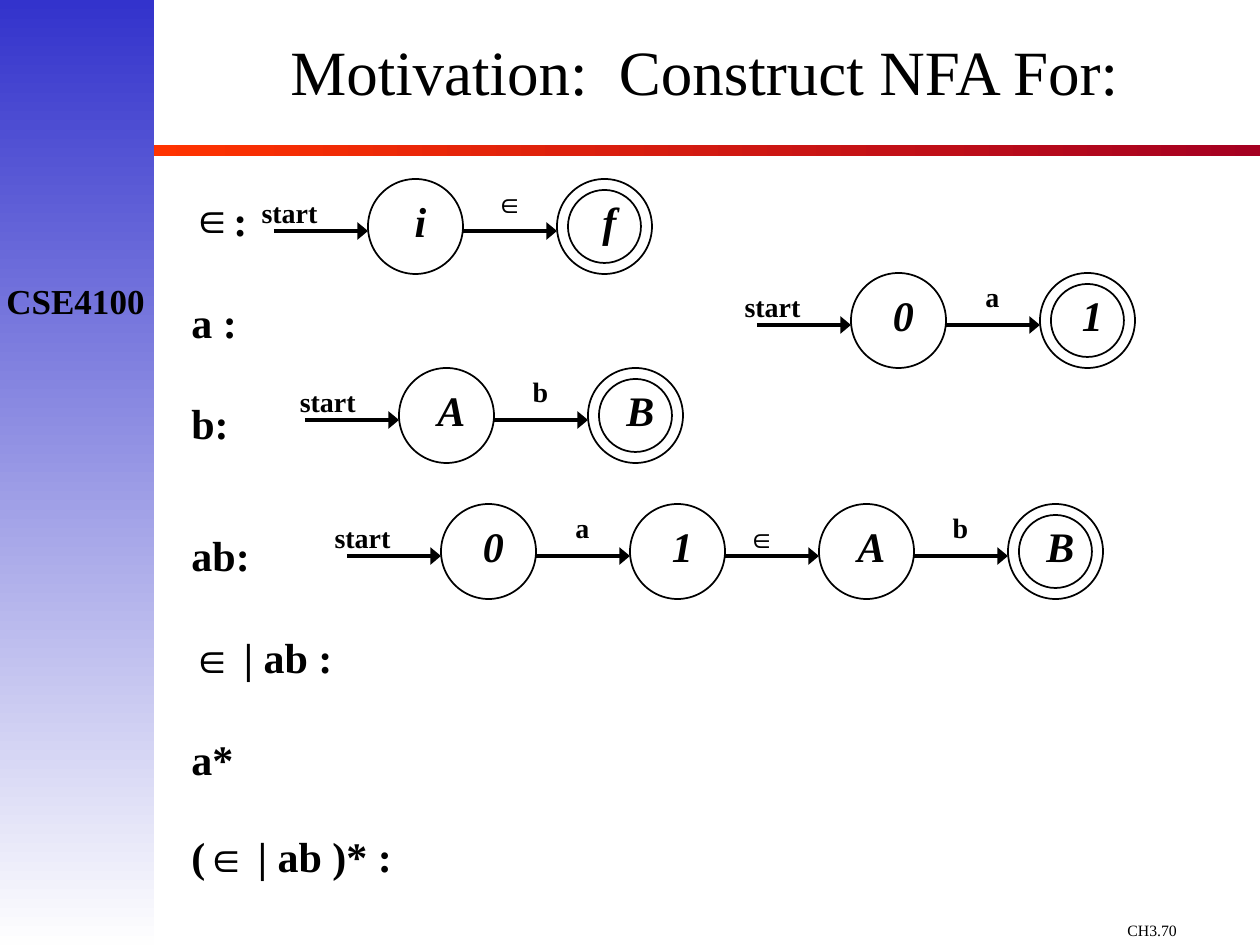
from lxml import etree
from pptx import Presentation
from pptx.dml.color import RGBColor
from pptx.enum.shapes import MSO_CONNECTOR, MSO_SHAPE
from pptx.enum.text import MSO_ANCHOR, PP_ALIGN
from pptx.oxml.ns import qn
from pptx.util import Emu, Pt

PX = 7257  # EMU in one px, 126 px to the inch
LEFT, CENTER, RIGHT = PP_ALIGN.LEFT, PP_ALIGN.CENTER, PP_ALIGN.RIGHT
OVAL, RECT = MSO_SHAPE.OVAL, MSO_SHAPE.RECTANGLE
BLACK = RGBColor(0x00, 0x00, 0x00)
BLUE = RGBColor(0x33, 0x33, 0xCC)
OFF_WHITE = RGBColor(0xFE, 0xFE, 0xFE)
ORANGE = RGBColor(0xFF, 0x33, 0x00)
CRIMSON = RGBColor(0xA5, 0x00, 0x21)
SERIF, SANS = "Times New Roman", "Arial"
EPSILON = "∈"

TITLE = "Motivation:  Construct NFA For:"
COURSE = "CSE4100"
PAGE = "CH3.70"

# (text, line spacing); the first one follows an epsilon bullet
EXPRESSIONS = [
    (":", 1.0),
    ("a :", 1.5),
    ("b:", 1.5),
    ("ab:", 2.1),
    ("∈ | ab :", 1.5),
    ("a*", 1.5),
    ("(∈ | ab )* :", 1.4),
]

# left and top of the first state, states, symbols between them, start alignment
AUTOMATA = [
    (368, 179, "if", [EPSILON], CENTER),
    (851, 273, "01", ["a"], CENTER),
    (399, 368, "AB", ["b"], RIGHT),
    (441, 504, "01AB", ["a", EPSILON, "b"], CENTER),
]
STATE, STEP = 95, 189
GAP = STEP - STATE
RING = 11
ARROW_DROP = 52
START_BOX = (-126, 10, 95, 46)  # relative to the state the arrow enters
SYMBOL_BOX = (-84, 0, 73, 46)
NAME_BOX = (21, 10, 63, 63)

prs = Presentation()
prs.slide_width, prs.slide_height = Emu(1260 * PX), Emu(945 * PX)
slide = prs.slides.add_slide(prs.slide_layouts[6])


def px(*lengths):
    return [Emu(length * PX) for length in lengths]


def style(font, size, bold=False, italic=False, name=SERIF):
    font.name, font.size = name, Pt(size)
    font.bold, font.italic = bold, italic
    font.color.rgb = BLACK


def add_label(box, text, size, align=CENTER, **look):
    frame = slide.shapes.add_textbox(*px(*box)).text_frame
    frame.word_wrap = True
    paragraph = frame.paragraphs[0]
    paragraph.text, paragraph.alignment = text, align
    style(paragraph.font, size, **look)
    return frame


def add_gradient(box, first, last, angle):
    band = slide.shapes.add_shape(RECT, *px(*box))
    band.shadow.inherit = False
    band.line.fill.background()
    band.fill.gradient()
    band.fill.gradient_angle = angle
    for stop, color in zip(band.fill.gradient_stops, (first, last)):
        stop.color.rgb = color


def add_circle(left, top, size):
    circle = slide.shapes.add_shape(OVAL, *px(left, top, size, size))
    circle.shadow.inherit = False
    circle.fill.background()
    circle.line.color.rgb = BLACK
    circle.line.width = Pt(1)


def add_arrow(left, right, y):
    arrow = slide.shapes.add_connector(MSO_CONNECTOR.STRAIGHT, *px(left, y, right, y))
    arrow.line.color.rgb = BLACK
    arrow.line.width = Pt(2)
    etree.SubElement(arrow.line._get_or_add_ln(), qn("a:tailEnd"),
                     type="triangle", w="lg", len="med")
    etree.SubElement(arrow._element.spPr, qn("a:effectLst"))


def add_automaton(left, top, states, symbols, start_align):
    for i, (state, symbol) in enumerate(zip(states, ["start", *symbols])):
        x = left + i * STEP

        def place(box):
            return (x + box[0], top + box[1], *box[2:])

        add_circle(x, top, STATE)
        if i == len(states) - 1:
            add_circle(x + RING, top + RING, STATE - 2 * RING)
        add_arrow(x - GAP, x, top + ARROW_DROP)
        # an epsilon inside a longer chain sits lower, like the start label
        low = i == 0 or (symbol == EPSILON and len(states) > 2)
        align = start_align if i == 0 else RIGHT if low else CENTER
        add_label(place(START_BOX if low else SYMBOL_BOX), symbol, 16, align,
                  bold=True, name=SANS if symbol == EPSILON else SERIF)
        add_label(place(NAME_BOX), state, 24, bold=True, italic=True)


def add_expressions(box):
    frame = slide.shapes.add_textbox(*px(*box)).text_frame
    frame.word_wrap = True
    for i, (text, spacing) in enumerate(EXPRESSIONS):
        paragraph = frame.add_paragraph() if i else frame.paragraphs[0]
        paragraph.line_spacing, paragraph.space_before = spacing, Pt(15)
        before, epsilon, after = text.partition(EPSILON)
        for part in filter(None, (before, epsilon, after)):
            run = paragraph.add_run()
            run.text = part
            style(run.font, 24, bold=True, name=SANS if part == EPSILON else SERIF)
    bulleted = frame.paragraphs[0]._p.get_or_add_pPr()
    indent = px(38)[0]
    bulleted.set("marL", str(indent))
    bulleted.set("indent", str(-indent))
    etree.SubElement(bulleted, qn("a:buFont"), typeface=SANS)
    etree.SubElement(bulleted, qn("a:buChar"), char=EPSILON)


add_gradient((151, 145, 1109, 11), ORANGE, CRIMSON, 0)
add_gradient((0, 0, 154, 945), BLUE, OFF_WHITE, 270)
add_label((1115, 915, 145, 30), PAGE, 9, LEFT)
course = add_label((-6, 273, 163, 55), COURSE, 20, bold=True)
course.margin_left = course.margin_right = 0
title = add_label((149, 0, 1111, 154), TITLE, 36)
title.vertical_anchor = MSO_ANCHOR.MIDDLE
title.paragraphs[0].line_spacing = 0.8
for automaton in AUTOMATA:
    add_automaton(*automaton)
add_expressions((179, 188, 1040, 699))

prs.save("out.pptx")
